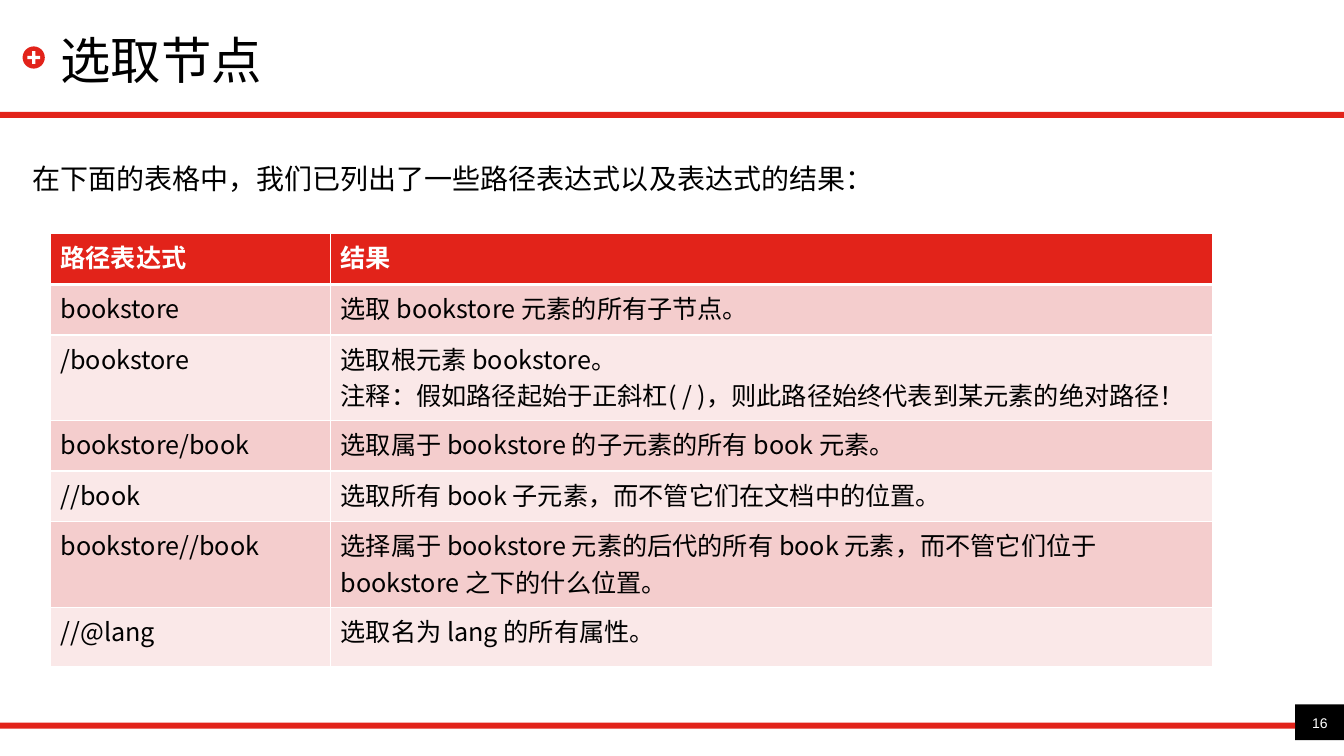
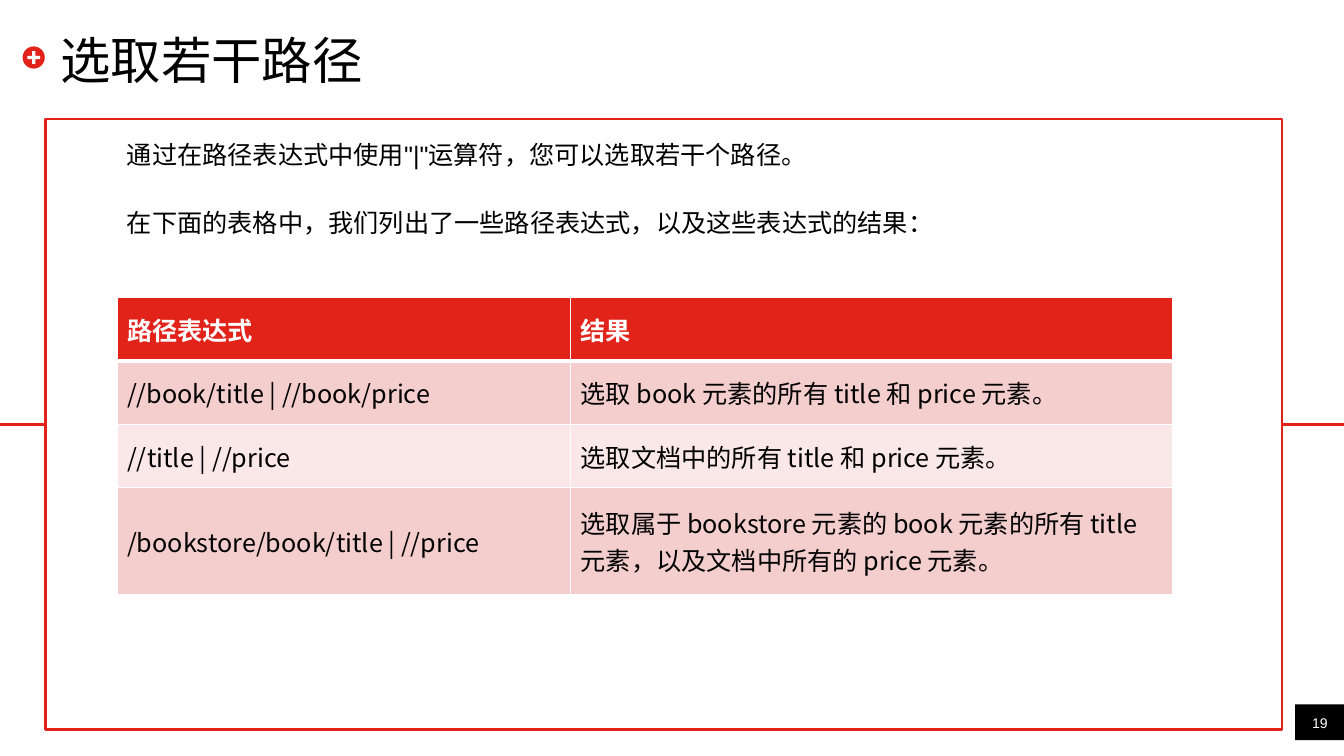
"""Builds two slides on path expressions, each with a title, an introduction and a table."""
import pptx
import pptx.util
import pptx.dml.color
import pptx.enum.shapes
import pptx.enum.text
import pptx.oxml.ns
from lxml import etree

Cm = pptx.util.Cm
Pt = pptx.util.Pt
RGBColor = pptx.dml.color.RGBColor
Shape = pptx.enum.shapes.MSO_SHAPE
Anchor = pptx.enum.text.MSO_ANCHOR
Align = pptx.enum.text.PP_ALIGN
qn = pptx.oxml.ns.qn

RED = RGBColor(0xE2, 0x23, 0x1A)
ROSE = RGBColor(0xF4, 0xCD, 0xCD)
BLUSH = RGBColor(0xFA, 0xE8, 0xE8)
WHITE = RGBColor(0xFF, 0xFF, 0xFF)
BLACK = RGBColor(0, 0, 0)
LATIN, CJK = "Arial", "Noto Sans CJK SC"
SLIDE_WIDTH, SLIDE_HEIGHT = 33.87, 19.05
NUMBER_LEFT = 32.64
BAND_HEIGHT = 0.15

HEADER = ("路径表达式", "结果")
NODES = {
    "title": "选取节点",
    "number": "16",
    "intro": ["在下面的表格中，我们已列出了一些路径表达式以及表达式的结果："],
    "intro_box": (0.56, 3.78, 32.08, 1.27),
    "intro_style": (20, 1.2),
    "corner": (1.27, 5.87),
    "columns": (7.06, 22.22),
    "heights": (1.3, 1.27, 2.16, 1.27, 1.27, 2.16, 1.5),
    "anchor": Anchor.TOP,
    "rows": [
        HEADER,
        ("bookstore", "选取 bookstore 元素的所有子节点。"),
        ("/bookstore", "选取根元素 bookstore。\n"
         "注释：假如路径起始于正斜杠( / )，则此路径始终代表到某元素的绝对路径！"),
        ("bookstore/book", "选取属于 bookstore 的子元素的所有 book 元素。"),
        ("//book", "选取所有 book 子元素，而不管它们在文档中的位置。"),
        ("bookstore//book", "选择属于 bookstore 元素的后代的所有 book 元素，"
         "而不管它们位于 bookstore 之下的什么位置。"),
        ("//@lang", "选取名为 lang 的所有属性。"),
    ],
}
PATHS = {
    "title": "选取若干路径",
    "number": "19",
    "intro": ["通过在路径表达式中使用\"|\"运算符，您可以选取若干个路径。",
              "在下面的表格中，我们列出了一些路径表达式，以及这些表达式的结果："],
    "intro_box": (2.95, 3.3, 25.83, 3.07),
    "intro_style": (18, 1.1),
    "corner": (2.95, 7.49),
    "columns": (11.43, 15.16),
    "heights": (1.6, 1.6, 1.6, 2.69),
    "anchor": Anchor.MIDDLE,
    "rows": [
        HEADER,
        ("//book/title | //book/price", "选取 book 元素的所有 title 和 price 元素。"),
        ("//title | //price", "选取文档中的所有 title 和 price 元素。"),
        ("/bookstore/book/title | //price",
         "选取属于 bookstore 元素的 book 元素的所有 title 元素，"
         "以及文档中所有的 price 元素。"),
    ],
}


def style_paragraph(para, size, color=BLACK, name=LATIN, bold=False):
    font = para.font
    font.size, font.name, font.bold = Pt(size), name, bold
    font.color.rgb = color
    properties = para._p.pPr.find(qn("a:defRPr"))
    etree.SubElement(properties, qn("a:ea")).set("typeface", CJK)


def add_block(page, kind, place, fill=None):
    block = page.shapes.add_shape(kind, *map(Cm, place))
    block.shadow.inherit = False
    if fill is None:
        block.fill.background()
        block.line.color.rgb, block.line.width = RED, Pt(2)
    else:
        block.fill.solid()
        block.fill.fore_color.rgb = fill
        block.line.fill.background()
    return block


def add_text(page, place, lines, size, color=BLACK, anchor=Anchor.TOP,
             align=Align.LEFT, inset=True, spacing=1.0, gap=0):
    frame = page.shapes.add_textbox(*map(Cm, place)).text_frame
    frame.word_wrap = True
    frame.vertical_anchor = anchor
    if not inset:
        frame.margin_left = frame.margin_right = frame.margin_top = frame.margin_bottom = 0
    frame.text = "\n".join(lines)
    for index, para in enumerate(frame.paragraphs):
        para.alignment, para.line_spacing = align, spacing
        if index:
            para.space_before = Pt(gap)
        style_paragraph(para, size, color)


def add_border(cell, side, width):
    edge = etree.SubElement(cell._tc.get_or_add_tcPr(), qn(f"a:ln{side}"), w=str(Pt(width)))
    fill = etree.SubElement(edge, qn("a:solidFill"))
    etree.SubElement(fill, qn("a:srgbClr"), val=str(WHITE))


def add_page(deck, content):
    page = deck.slides.add_slide(deck.slide_layouts[6])
    add_block(page, Shape.RECTANGLE, (NUMBER_LEFT, 17.75, SLIDE_WIDTH - NUMBER_LEFT, 0.9), BLACK)
    add_text(page, (NUMBER_LEFT, 17.75, 1.24, 0.69), [content["number"]], 10, WHITE,
             Anchor.BOTTOM, Align.CENTER, inset=False)
    add_block(page, Shape.OVAL, (0.57, 1.17, 0.56, 0.56), RED)
    plus = add_block(page, Shape.CROSS, (0.69, 1.29, 0.32, 0.32), WHITE)
    plus.adjustments[0] = 0.37
    add_text(page, (1.52, 0.76, 30.76, 1.45), [content["title"]], 36,
             anchor=Anchor.MIDDLE, inset=False)
    return page


def add_bands(page):
    for top, width in ((2.82, SLIDE_WIDTH), (18.21, NUMBER_LEFT)):
        add_block(page, Shape.RECTANGLE, (0, top, width, BAND_HEIGHT), RED)


def add_frame(page):
    frame = add_block(page, Shape.RECTANGLE, (1.14, 3, 31.17, 15.39))
    middle = frame.top + frame.height // 2
    for site, edge in ((1, 0), (3, SLIDE_WIDTH)):
        line = page.shapes.add_connector(
            pptx.enum.shapes.MSO_CONNECTOR.STRAIGHT, Cm(edge), middle, Cm(edge), middle)
        line.end_connect(frame, site)
        line.line.color.rgb, line.line.width = RED, Pt(2)
        etree.SubElement(line._element.spPr, qn("a:effectLst"))


def add_intro(page, content):
    size, spacing = content["intro_style"]
    add_text(page, content["intro_box"], content["intro"], size, spacing=spacing, gap=25)


def add_grid(page, content):
    rows, columns, heights = content["rows"], content["columns"], content["heights"]
    place = (*content["corner"], sum(columns), sum(heights))
    table = page.shapes.add_table(len(rows), len(columns), *map(Cm, place)).table
    table.horz_banding = False
    for column, width in zip(table.columns, columns):
        column.width = Cm(width)
    for index, (row, height, texts) in enumerate(zip(table.rows, heights, rows)):
        row.height = Cm(height)
        header = index == 0
        borders = {"L": 1, "R": 1, "T": 3 if index == 1 else 1, "B": 3 if header else 1}
        for cell, text in zip(row.cells, texts):
            for side, width in borders.items():
                add_border(cell, side, width)
            cell.fill.solid()
            cell.fill.fore_color.rgb = RED if header else (BLUSH, ROSE)[index % 2]
            cell.vertical_anchor = content["anchor"]
            cell.text_frame.text = text
            for para in cell.text_frame.paragraphs:
                style_paragraph(para, 18, WHITE if header else BLACK, CJK, header)


def main():
    deck = pptx.Presentation()
    deck.slide_width, deck.slide_height = Cm(SLIDE_WIDTH), Cm(SLIDE_HEIGHT)
    for content, decorate in ((NODES, add_bands), (PATHS, add_frame)):
        page = add_page(deck, content)
        decorate(page)
        add_intro(page, content)
        add_grid(page, content)
    deck.save("out.pptx")


if __name__ == "__main__":
    main()
